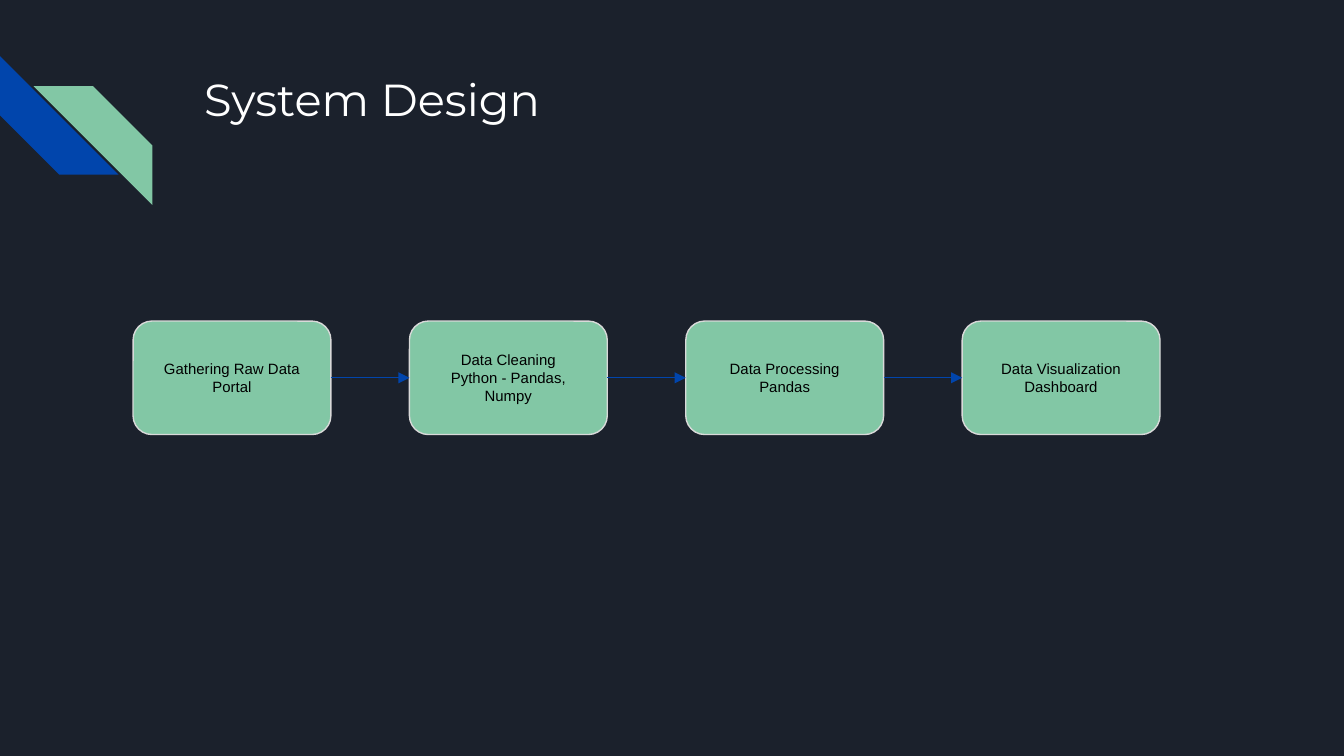
from dataclasses import dataclass

from pptx import Presentation
from pptx.dml.color import RGBColor
from pptx.enum.shapes import MSO_CONNECTOR, MSO_SHAPE
from pptx.enum.text import MSO_ANCHOR, MSO_AUTO_SIZE, PP_ALIGN
from pptx.oxml.ns import qn
from pptx.oxml.xmlchemy import OxmlElement
from pptx.shapes.autoshape import Shape
from pptx.slide import Slide
from pptx.text.text import TextFrame
from pptx.util import Pt

NIGHT = "1B212C"
BLUE = "0145AC"
GREEN = "82C7A5"
PALE_GREY = "D9D9D9"
WHITE = "FFFFFF"
BLACK = "000000"

STRIPE_SIZE = 63.6
STAGE_LEFT, STAGE_TOP = 71.3, 172
STAGE_WIDTH, STAGE_HEIGHT = 106, 60.8
STAGE_PITCH = 148.05
RIGHT_SIDE, LEFT_SIDE = 3, 1


@dataclass(frozen=True)
class Stripe:
    left: float
    top: float
    rotation: int
    color: str


@dataclass(frozen=True)
class Stage:
    task: str
    tool: str


STRIPES = [
    Stripe(0, 30, 270, BLUE),
    Stripe(18, 46.2, 90, GREEN),
]

STAGES = [
    Stage("Gathering Raw Data", "Portal"),
    Stage("Data Cleaning", "Python - Pandas, Numpy"),
    Stage("Data Processing", "Pandas"),
    Stage("Data Visualization", "Dashboard"),
]


def rgb(color: str) -> RGBColor:
    return RGBColor.from_string(color)


def set_frame(frame: TextFrame, anchor: MSO_ANCHOR) -> None:
    frame.word_wrap = True
    frame.auto_size = MSO_AUTO_SIZE.NONE
    frame.vertical_anchor = anchor
    frame.margin_left = frame.margin_right = Pt(7.2)
    frame.margin_top = frame.margin_bottom = Pt(7.2)


def write_lines(frame: TextFrame, lines: list[str], font: str, size: float,
                color: str, align: PP_ALIGN) -> None:
    frame.text = "\n".join(lines)
    for paragraph in frame.paragraphs:
        paragraph.alignment = align
        paragraph.font.name = font
        paragraph.font.size = Pt(size)
        paragraph.font.color.rgb = rgb(color)


def draw_stripe(slide: Slide, stripe: Stripe) -> None:
    band = slide.shapes.add_shape(
        MSO_SHAPE.DIAGONAL_STRIPE, Pt(stripe.left), Pt(stripe.top),
        Pt(STRIPE_SIZE), Pt(STRIPE_SIZE))
    band.rotation = stripe.rotation
    band.shadow.inherit = False
    band.fill.solid()
    band.fill.fore_color.rgb = rgb(stripe.color)
    band.line.fill.background()


def write_title(slide: Slide, text: str) -> None:
    title = slide.shapes.title
    title.left, title.top = Pt(102.2), Pt(31)
    title.width, title.height = Pt(554.4), Pt(72)
    set_frame(title.text_frame, MSO_ANCHOR.TOP)
    write_lines(title.text_frame, [text], "Montserrat", 24, WHITE, PP_ALIGN.LEFT)


def draw_stage(slide: Slide, position: int, stage: Stage) -> Shape:
    box = slide.shapes.add_shape(
        MSO_SHAPE.ROUNDED_RECTANGLE,
        Pt(STAGE_LEFT + position * STAGE_PITCH), Pt(STAGE_TOP),
        Pt(STAGE_WIDTH), Pt(STAGE_HEIGHT))
    box.shadow.inherit = False
    box.fill.solid()
    box.fill.fore_color.rgb = rgb(GREEN)
    box.line.color.rgb = rgb(PALE_GREY)
    box.line.width = Pt(0.75)
    set_frame(box.text_frame, MSO_ANCHOR.MIDDLE)
    write_lines(box.text_frame, [stage.task, stage.tool], "Arial", 8, BLACK,
                PP_ALIGN.CENTER)
    return box


def draw_arrow(slide: Slide, source: Shape, target: Shape) -> None:
    arrow = slide.shapes.add_connector(MSO_CONNECTOR.STRAIGHT, 0, 0, 0, 0)
    arrow.begin_connect(source, RIGHT_SIDE)
    arrow.end_connect(target, LEFT_SIDE)
    arrow.line.color.rgb = rgb(BLUE)
    arrow.line.width = Pt(0.75)
    properties = arrow._element.spPr
    head = OxmlElement("a:tailEnd")
    head.set("type", "triangle")
    properties.find(qn("a:ln")).append(head)
    properties.append(OxmlElement("a:effectLst"))


def main() -> None:
    presentation = Presentation()
    presentation.slide_width, presentation.slide_height = Pt(720), Pt(405)
    slide = presentation.slides.add_slide(presentation.slide_layouts[5])
    slide.background.fill.solid()
    slide.background.fill.fore_color.rgb = rgb(NIGHT)

    for stripe in STRIPES:
        draw_stripe(slide, stripe)
    write_title(slide, "System Design")
    boxes = [draw_stage(slide, position, stage)
             for position, stage in enumerate(STAGES)]
    for source, target in zip(boxes, boxes[1:]):
        draw_arrow(slide, source, target)

    presentation.save("out.pptx")


if __name__ == "__main__":
    main()
